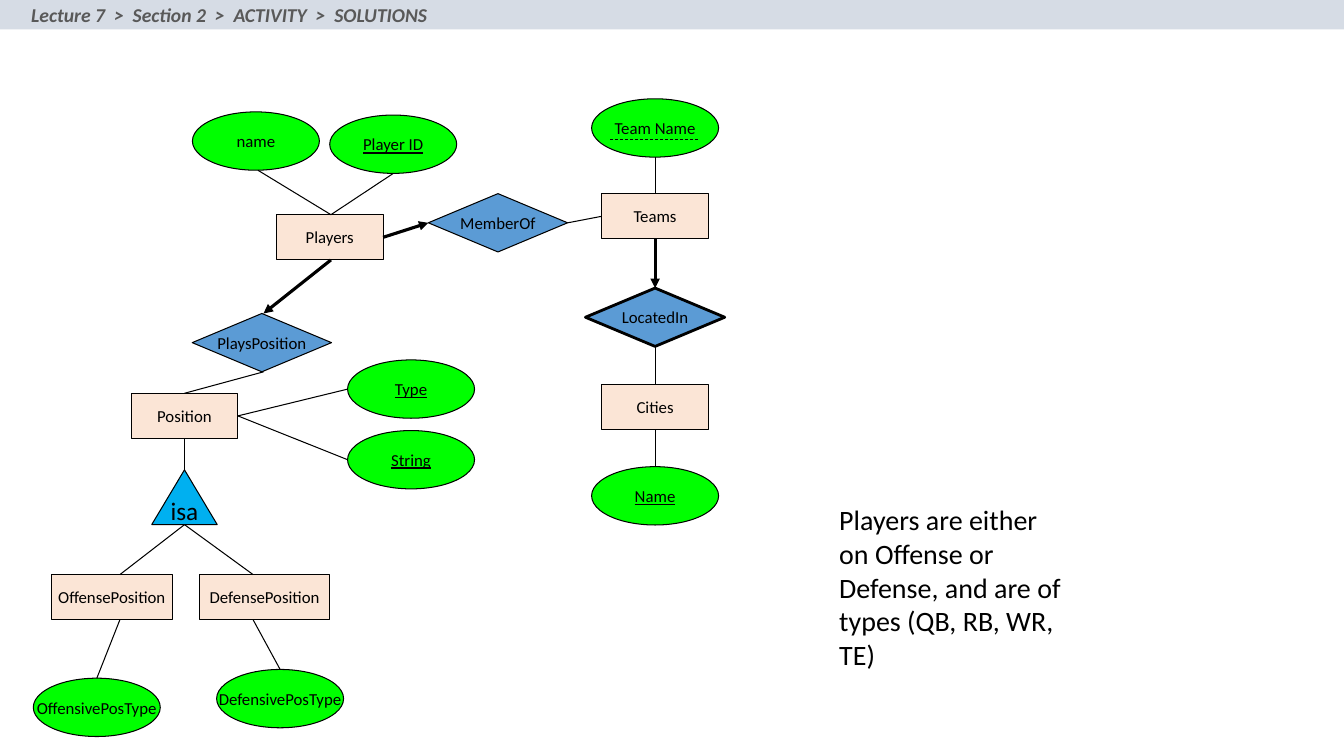
from dataclasses import dataclass
from typing import NamedTuple

from lxml import etree
from pptx import Presentation
from pptx.dml.color import RGBColor
from pptx.enum.dml import MSO_LINE
from pptx.enum.shapes import MSO_CONNECTOR, MSO_SHAPE
from pptx.enum.text import MSO_ANCHOR, MSO_AUTO_SIZE, PP_ALIGN
from pptx.oxml.ns import qn
from pptx.util import Cm, Pt

RECT, OVAL = MSO_SHAPE.RECTANGLE, MSO_SHAPE.OVAL
DIAMOND, WEDGE = MSO_SHAPE.DIAMOND, MSO_SHAPE.ISOSCELES_TRIANGLE
STRAIGHT, DASH = MSO_CONNECTOR.STRAIGHT, MSO_LINE.DASH
LEFT, CENTER = PP_ALIGN.LEFT, PP_ALIGN.CENTER
TOP, MIDDLE = MSO_ANCHOR.TOP, MSO_ANCHOR.MIDDLE


@dataclass(frozen=True)
class Theme:
    font: str = "Calibri"
    ink: str = "000000"
    grey: str = "595959"
    band: str = "D6DCE5"
    entity: str = "FBE5D6"
    field: str = "00FF00"
    verb: str = "5B9BD5"
    isa: str = "00B0F0"
    label: float = 12
    crumb: float = 14
    mark: float = 18
    note: float = 20
    hair: float = 0.5
    thin: float = 0.75
    bold: float = 2
    arrow: float = 2.25


T = Theme()


class Kind(NamedTuple):
    form: int
    fill: str
    wide: float
    high: float
    size: float = T.label


ENTITY = Kind(RECT, T.entity, 2.69, 1.14)
FIELD = Kind(OVAL, T.field, 3.2, 1.47)
VERB = Kind(DIAMOND, T.verb, 3.51, 1.47)
ISA = Kind(WEDGE, T.isa, 1.65, 1.38, T.mark)


@dataclass(frozen=True)
class Node:
    """A diagram part, placed by its centre line and top edge in cm."""
    name: str
    kind: Kind
    mid: float
    top: float
    key: bool = False
    line: float = T.thin
    wide: float = 0
    port: float = 0  # sideways shift of the top and bottom joints

    @property
    def span(self) -> float:
        return self.wide or self.kind.wide

    def joint(self, side: str) -> tuple[float, float]:
        half, high = self.span / 2, self.kind.high
        return {
            "top": (self.mid + self.port, self.top),
            "bottom": (self.mid + self.port, self.top + high),
            "left": (self.mid - half, self.top + high / 2),
            "right": (self.mid + half, self.top + high / 2),
        }[side]


class Link(NamedTuple):
    start: str
    out: str
    end: str
    into: str
    arrow: bool = False


TEAM, PLAY, POS = 16.51, 8.31, 4.65  # centre lines of the columns

NODES = [
    Node("Team Name", FIELD, TEAM, 2.49),
    Node("Teams", ENTITY, TEAM, 4.88),
    Node("LocatedIn", VERB, TEAM, 7.26, line=T.bold),
    Node("Cities", ENTITY, TEAM, 9.68),
    Node("Name", FIELD, TEAM, 11.76, key=True),
    Node("name", FIELD, 6.45, 2.82, port=0.05),
    Node("Player ID", FIELD, 9.91, 2.9, key=True),
    Node("Players", ENTITY, PLAY, 5.41, port=0.03),
    Node("MemberOf", VERB, 12.55, 4.88),
    Node("PlaysPosition", VERB, 6.6, 7.9, port=0.04),
    Node("Position", ENTITY, POS, 9.91),
    Node("Type", FIELD, 10.36, 9.07, key=True),
    Node("String", FIELD, 10.36, 10.85, key=True),
    Node("isa", ISA, POS, 11.84),
    Node("OffensePosition", ENTITY, 2.82, 14.48, wide=3.05, port=0.2),
    Node("DefensePosition", ENTITY, 6.67, 14.48, wide=3.28, port=-0.29),
    Node("OffensivePosType", FIELD, 2.44, 17.09),
    Node("DefensivePosType", FIELD, 7.06, 16.87),
]

LINKS = [
    Link("Team Name", "bottom", "Teams", "top"),
    Link("Teams", "bottom", "LocatedIn", "top", True),
    Link("LocatedIn", "bottom", "Cities", "top"),
    Link("Cities", "bottom", "Name", "top"),
    Link("name", "bottom", "Players", "top"),
    Link("Player ID", "bottom", "Players", "top"),
    Link("Players", "right", "MemberOf", "left", True),
    Link("MemberOf", "right", "Teams", "left"),
    Link("Players", "bottom", "PlaysPosition", "top", True),
    Link("PlaysPosition", "bottom", "Position", "top"),
    Link("Type", "left", "Position", "right"),
    Link("String", "left", "Position", "right"),
    Link("Position", "bottom", "isa", "top"),
    Link("isa", "bottom", "OffensePosition", "top"),
    Link("isa", "bottom", "DefensePosition", "top"),
    Link("OffensePosition", "bottom", "OffensivePosType", "top"),
    Link("DefensePosition", "bottom", "DefensivePosType", "top"),
]


def write(shape, text: str, size: float, color: str = T.ink, align=LEFT,
          anchor=TOP, wrap: bool = False):
    frame = shape.text_frame
    frame.auto_size = MSO_AUTO_SIZE.NONE
    frame.word_wrap, frame.vertical_anchor = wrap, anchor
    para = frame.paragraphs[0]
    para.alignment = align
    run = para.add_run()
    run.text = text
    run.font.name, run.font.size = T.font, Pt(size)
    run.font.color.rgb = RGBColor.from_string(color)
    return run.font


def block(slide, form: int, box: tuple, fill: str):
    shape = slide.shapes.add_shape(form, *map(Cm, box))
    shape.shadow.inherit = False
    shape.fill.solid()
    shape.fill.fore_color.rgb = RGBColor.from_string(fill)
    shape.line.fill.background()
    return shape


def draw(slide, node: Node) -> None:
    kind = node.kind
    box = (node.mid - node.span / 2, node.top, node.span, kind.high)
    shape = block(slide, kind.form, box, kind.fill)
    shape.line.color.rgb = RGBColor.from_string(T.ink)
    shape.line.width = Pt(node.line)
    font = write(shape, node.name, kind.size, align=CENTER, anchor=MIDDLE)
    if node.key:
        font.underline = True


def join(slide, start: tuple, end: tuple, width: float = T.thin,
         arrow: bool = False):
    wire = slide.shapes.add_connector(STRAIGHT, *map(Cm, start + end))
    wire.line.color.rgb = RGBColor.from_string(T.ink)
    wire.line.width = Pt(width)
    if arrow:
        etree.SubElement(wire.line._get_or_add_ln(), qn("a:tailEnd"),
                         type="triangle")
    etree.SubElement(wire._element.spPr, qn("a:effectLst"))
    return wire


deck = Presentation()
deck.slide_width, deck.slide_height = Cm(33.87), Cm(19.05)
slide = deck.slides.add_slide(deck.slide_layouts[5])

# Header band, behind the title
band = block(slide, RECT, (0, 0, 33.87, 0.74), T.band)
slide.shapes._spTree.insert(2, band._element)
title = slide.shapes.title
title.left, title.top, title.width, title.height = map(
    Cm, (0.53, -0.05, 10.57, 0.86))
crumb = write(title, "Lecture 7  >  Section 2  >  ACTIVITY  >  SOLUTIONS",
              T.crumb, T.grey)
crumb.bold = crumb.italic = True

# Diagram
nodes = {node.name: node for node in NODES}
for node in NODES:
    draw(slide, node)
for link in LINKS:
    join(slide, nodes[link.start].joint(link.out),
         nodes[link.end].joint(link.into),
         T.arrow if link.arrow else T.thin, link.arrow)

# Dashed underline of the partial key
under = join(slide, (TEAM - 1.13, 3.51), (TEAM + 1.13, 3.51), T.hair)
under.line.dash_style = DASH

# Side note
note = slide.shapes.add_textbox(*map(Cm, (20.9, 12.55, 6.15, 4.52)))
write(note, "Players are either on Offense or Defense, and are of types "
      "(QB, RB, WR, TE)", T.note, wrap=True)

deck.save("out.pptx")
